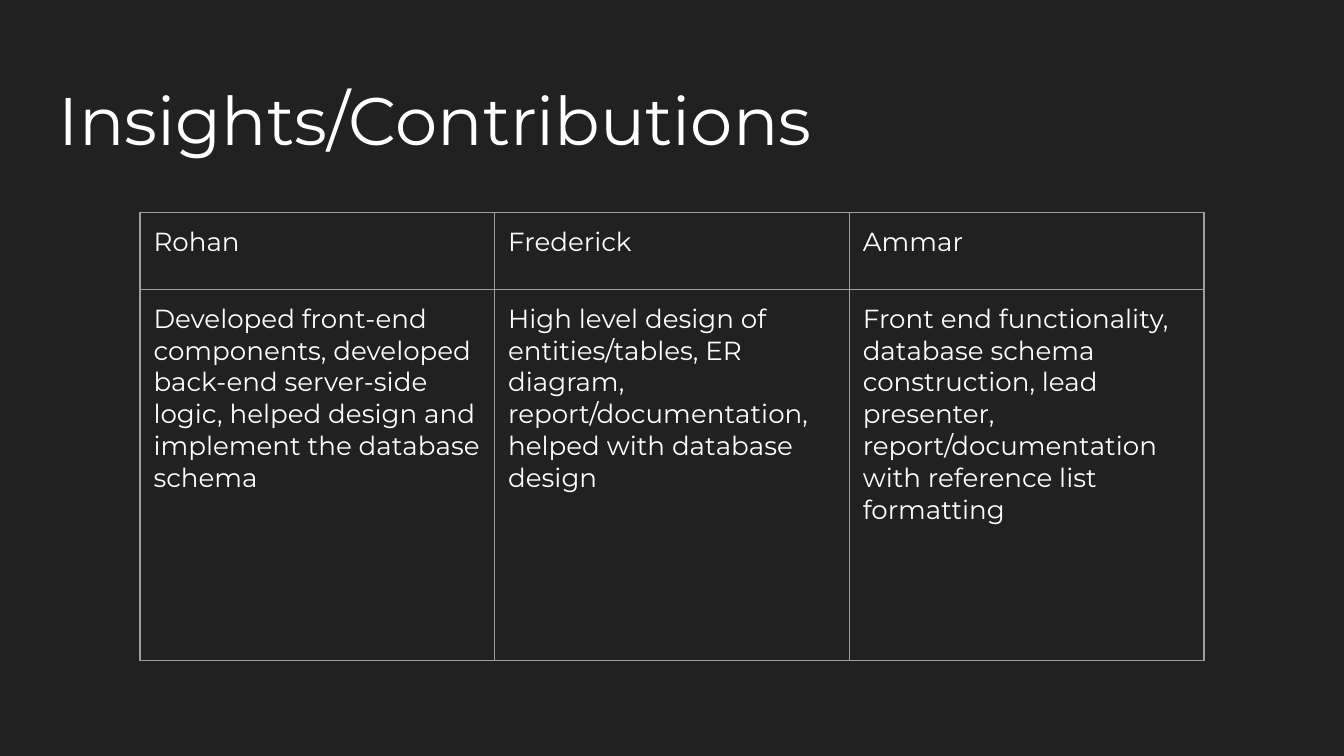
from dataclasses import dataclass

from lxml.etree import SubElement
from pptx import Presentation
from pptx.dml.color import RGBColor
from pptx.enum.text import MSO_ANCHOR
from pptx.oxml.ns import qn
from pptx.util import Inches, Pt


@dataclass(frozen=True)
class Theme:
    background: str = "212121"
    text: str = "FFFFFF"
    border: str = "9E9E9E"
    font: str = "Montserrat"
    title_size: int = 36
    body_size: int = 14
    border_width: float = 0.75
    inset: float = 0.1


def write_text(tf, text, *, font, size, color):
    r = tf.paragraphs[0].add_run()
    r.text = text
    r.font.name = font
    r.font.size = Pt(size)
    r.font.color.rgb = RGBColor.from_string(color)


class SlideBuilder:
    GRID = 100

    def __init__(self, prs, theme):
        self.theme = theme
        self.column = prs.slide_width / self.GRID
        self.row = prs.slide_height / self.GRID
        self.s = prs.slides.add_slide(prs.slide_layouts[6])
        fill = self.s.background.fill
        fill.solid()
        fill.fore_color.rgb = RGBColor.from_string(theme.background)

    def place(self, x, y, w, h):
        return (round(x * self.column), round(y * self.row),
                round(w * self.column), round(h * self.row))

    def set_insets(self, box):
        inset = Inches(self.theme.inset)
        box.margin_left = box.margin_right = inset
        box.margin_top = box.margin_bottom = inset
        box.vertical_anchor = MSO_ANCHOR.TOP

    def title(self, text, x, y, w, h):
        t = self.theme
        tf = self.s.shapes.add_textbox(*self.place(x, y, w, h)).text_frame
        tf.word_wrap = True
        self.set_insets(tf)
        write_text(tf, text, font=t.font, size=t.title_size, color=t.text)

    def borders(self, cell):
        tc_pr = cell._tc.get_or_add_tcPr()
        for index, side in enumerate(("lnL", "lnR", "lnT", "lnB")):
            ln = tc_pr.makeelement(qn(f"a:{side}"), w=str(Pt(self.theme.border_width)))
            fill = SubElement(ln, qn("a:solidFill"))
            SubElement(fill, qn("a:srgbClr"), val=self.theme.border)
            tc_pr.insert(index, ln)

    def table(self, rows, x, y, w, row_heights):
        t = self.theme
        area = self.place(x, y, w, sum(row_heights))
        table = self.s.shapes.add_table(len(rows), len(rows[0]), *area).table
        table.first_row = table.horz_banding = False
        for row, height, texts in zip(table.rows, row_heights, rows):
            row.height = round(height * self.row)
            for cell, text in zip(row.cells, texts):
                cell.fill.background()
                self.set_insets(cell)
                self.borders(cell)
                write_text(cell.text_frame, text, font=t.font,
                           size=t.body_size, color=t.text)


def main():
    prs = Presentation()
    prs.slide_width = Inches(10)
    prs.slide_height = prs.slide_width * 9 // 16
    slide = SlideBuilder(prs, Theme())
    slide.title("Insights/Contributions", 3.41, 8.65, 93.18, 11.2)
    contributions = {
        "Rohan": "Developed front-end components, developed back-end server-side "
                 "logic, helped design and implement the database schema",
        "Frederick": "High level design of entities/tables, ER diagram, "
                     "report/documentation, helped with database design",
        "Ammar": "Front end functionality, database schema construction, lead "
                 "presenter, report/documentation with reference list formatting",
    }
    slide.table([list(contributions), list(contributions.values())],
                10.42, 28.1, 79.16, (10.2, 49.07))
    prs.save("out.pptx")


if __name__ == "__main__":
    main()
